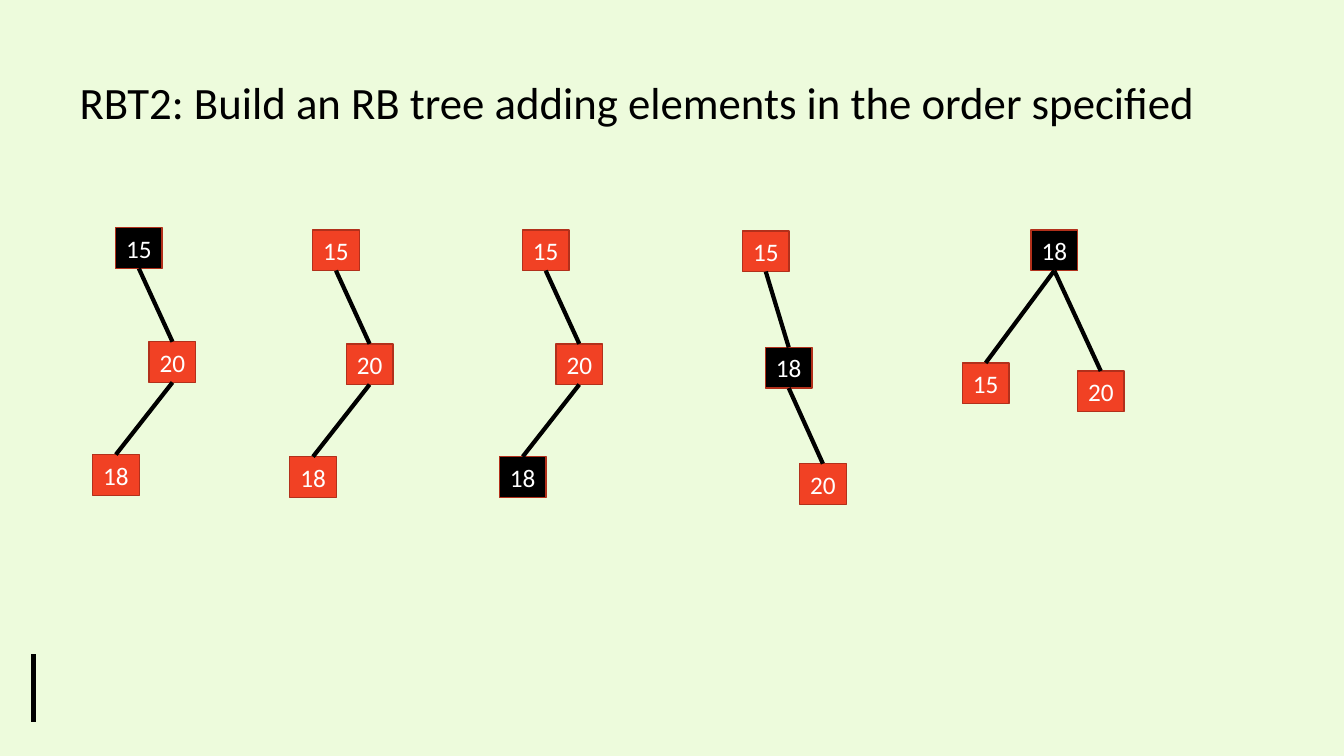
from lxml import etree
from pptx import Presentation
from pptx.dml.color import RGBColor
from pptx.enum.shapes import MSO_CONNECTOR, MSO_SHAPE
from pptx.enum.text import MSO_ANCHOR, PP_ALIGN
from pptx.oxml.ns import qn
from pptx.util import Pt

STRAIGHT, RECT = MSO_CONNECTOR.STRAIGHT, MSO_SHAPE.RECTANGLE
TOP, MIDDLE = MSO_ANCHOR.TOP, MSO_ANCHOR.MIDDLE
LEFT, CENTER = PP_ALIGN.LEFT, PP_ALIGN.CENTER

COLORS = {"background": "EDFBDC", "red": "F14124", "border": "B2301B",
          "black": "000000", "white": "FFFFFF"}
FONT = "Calibri"
NODE_W, NODE_H = 33.3, 29.1
TOP_SITE, BOTTOM_SITE = 0, 2

# Node offsets from the root: centre x, top y
ZIGZAG = [(0, 0), (24, 81.4), (-16.4, 162)]
CHAIN = [(0, 0), (16.4, 83.2), (40.8, 166.3)]
BALANCED = [(0, 0), (-49, 95), (33.2, 100.8)]
PATH_EDGES = [(0, 1), (1, 2)]
FORK_EDGES = [(0, 1), (0, 2)]

# Root x, root y, offsets, edges, (value, colour) of each node
TREES = [
    (99.2, 162.7, ZIGZAG, PATH_EDGES, [("15", "black"), ("20", "red"), ("18", "red")]),
    (240, 164.2, ZIGZAG, PATH_EDGES, [("15", "red"), ("20", "red"), ("18", "red")]),
    (389.8, 164.2, ZIGZAG, PATH_EDGES, [("15", "red"), ("20", "red"), ("18", "black")]),
    (547, 164.9, CHAIN, PATH_EDGES, [("15", "red"), ("18", "black"), ("20", "red")]),
    (753.1, 164.2, BALANCED, FORK_EDGES, [("18", "black"), ("15", "red"), ("20", "red")]),
]


def rgb(name):
    return RGBColor.from_string(COLORS[name])


def write(p, text, size, color, align):
    p.alignment = align
    r = p.add_run()
    r.text = text
    r.font.name = FONT
    r.font.size = Pt(size)
    r.font.color.rgb = rgb(color)


def add_title(s, text):
    sp = s.shapes.title
    sp.left, sp.top, sp.width, sp.height = Pt(49.7), Pt(49.7), Pt(819.4), Pt(46)
    tf = sp.text_frame
    tf.word_wrap = False
    tf.vertical_anchor = TOP
    p = tf.paragraphs[0]
    p.line_spacing = 1.0
    write(p, text, 32, "black", LEFT)


def add_node(s, x, y, value, color):
    sp = s.shapes.add_shape(RECT, Pt(x - NODE_W / 2), Pt(y), Pt(NODE_W), Pt(NODE_H))
    sp.shadow.inherit = False
    sp.fill.solid()
    sp.fill.fore_color.rgb = rgb(color)
    sp.line.color.rgb = rgb("border")
    sp.line.width = Pt(1)
    tf = sp.text_frame
    tf.margin_left = tf.margin_right = tf.margin_top = tf.margin_bottom = 0
    tf.vertical_anchor = MIDDLE
    write(tf.paragraphs[0], value, 18, "white", CENTER)
    return sp


def add_line(s, x1=0, y1=0, x2=0, y2=0):
    line = s.shapes.add_connector(STRAIGHT, Pt(x1), Pt(y1), Pt(x2), Pt(y2))
    line.line.color.rgb = rgb("black")
    line.line.width = Pt(3)
    etree.SubElement(line._element.spPr, qn("a:effectLst"))
    return line


def add_tree(s, root_x, root_y, offsets, edges, values):
    nodes = [add_node(s, root_x + dx, root_y + dy, value, color)
             for (dx, dy), (value, color) in zip(offsets, values)]
    for parent, child in edges:
        edge = add_line(s)
        edge.begin_connect(nodes[parent], BOTTOM_SITE)
        edge.end_connect(nodes[child], TOP_SITE)


def main():
    prs = Presentation()
    prs.slide_width, prs.slide_height = Pt(960), Pt(540)
    s = prs.slides.add_slide(prs.slide_layouts[5])
    s.background.fill.solid()
    s.background.fill.fore_color.rgb = rgb("background")

    # Title and margin mark
    add_title(s, "RBT2: Build an RB tree adding elements in the order specified")
    add_line(s, 24, 467.3, 24, 515.5)

    # Insertion and rotation steps
    for tree in TREES:
        add_tree(s, *tree)

    prs.save("out.pptx")


if __name__ == "__main__":
    main()
